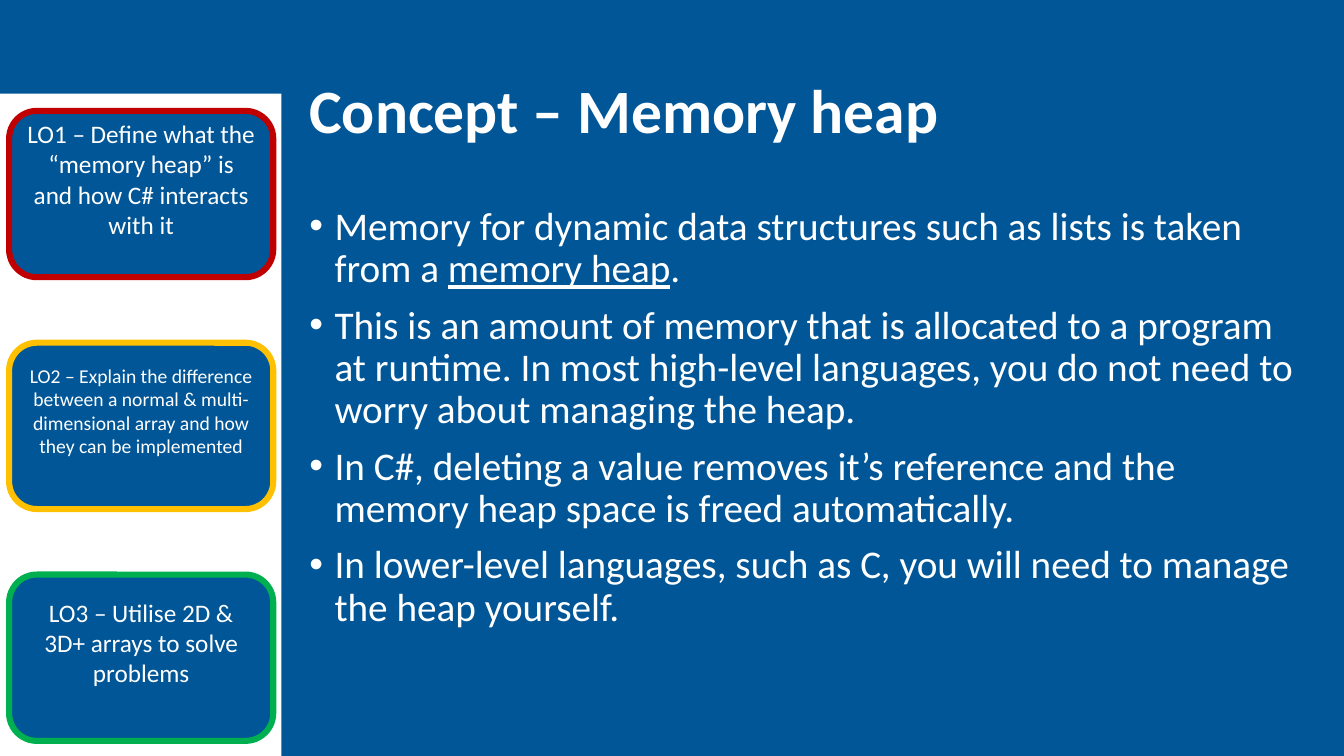
"""Builds the memory heap concept slide with its learning objectives sidebar."""
from lxml import etree
from pptx import Presentation
from pptx.dml.color import RGBColor
from pptx.enum.shapes import MSO_SHAPE
from pptx.enum.text import MSO_ANCHOR, PP_ALIGN
from pptx.oxml.ns import qn
from pptx.util import Inches, Pt

BLUE = RGBColor(0x01, 0x56, 0x97)
WHITE = RGBColor(0xFF, 0xFF, 0xFF)
RED = RGBColor(0xC0, 0x00, 0x00)
AMBER = RGBColor(0xFF, 0xC0, 0x00)
GREEN = RGBColor(0x00, 0xB0, 0x50)
FONT = "Calibri"

TITLE = "Concept – Memory heap"
KEY_TERM = "memory heap"
BULLETS = [
    ["Memory for dynamic data structures such as\u00a0lists\u00a0is taken from a ", KEY_TERM, "."],
    ["This is an amount of memory that is allocated to a program at runtime. "
     "In most high-level languages, you do not need to worry about managing the heap."],
    ["In C#, deleting a value removes it’s reference and the memory heap space "
     "is freed automatically."],
    ["In lower-level languages, such as C, you will need to manage the heap yourself."],
]
OBJECTIVES = [
    ("LO1 – Define what the “memory heap” is and how C# interacts with it", 18, RED),
    ("LO2 – Explain the difference between a normal & multi-dimensional array "
     "and how they can be implemented", 14, AMBER),
    ("LO3 – Utilise 2D & 3D+ arrays to solve problems", 18, GREEN),
]
OBJECTIVE_TOP, OBJECTIVE_PITCH = 1.1, 2.3
TEXT_LEFT, TEXT_WIDTH = 2.97, 10.15


def add_run(paragraph, text, size, bold=None, underline=None):
    run = paragraph.add_run()
    run.text = text
    font = run.font
    font.name, font.size, font.bold, font.underline = FONT, Pt(size), bold, underline
    font.color.rgb = WHITE


def add_block(slide, shape_type, left, top, width, height, fill):
    block = slide.shapes.add_shape(
        shape_type, Inches(left), Inches(top), Inches(width), Inches(height))
    block.shadow.inherit = False
    block.fill.solid()
    block.fill.fore_color.rgb = fill
    block.line.fill.background()
    return block


def add_text_frame(slide, top, height, anchor):
    box = slide.shapes.add_textbox(
        Inches(TEXT_LEFT), Inches(top), Inches(TEXT_WIDTH), Inches(height))
    frame = box.text_frame
    frame.word_wrap = True
    frame.vertical_anchor = anchor
    return frame


def add_bullet(paragraph):
    properties = paragraph._p.get_or_add_pPr()
    properties.set("marL", str(Inches(0.25)))
    properties.set("indent", str(-Inches(0.25)))
    etree.SubElement(properties, qn("a:buFont")).set("typeface", "Arial")
    etree.SubElement(properties, qn("a:buChar")).set("char", "•")


def add_objective(slide, top, text, size, outline):
    card = add_block(slide, MSO_SHAPE.ROUNDED_RECTANGLE, 0.09, top, 2.62, 1.65, BLUE)
    card.line.color.rgb = outline
    card.line.width = Pt(4.33)
    frame = card.text_frame
    frame.word_wrap = True
    frame.vertical_anchor = MSO_ANCHOR.MIDDLE
    frame.margin_bottom = Inches(0.35)
    paragraph = frame.paragraphs[0]
    paragraph.alignment = PP_ALIGN.CENTER
    add_run(paragraph, text, size)


prs = Presentation()
prs.slide_width, prs.slide_height = Inches(13.33), Inches(7.5)
slide = prs.slides.add_slide(prs.slide_layouts[6])
slide.background.fill.solid()
slide.background.fill.fore_color.rgb = BLUE

heading = add_text_frame(slide, 0.4, 1.45, MSO_ANCHOR.MIDDLE).paragraphs[0]
heading.line_spacing = 0.9
add_run(heading, TITLE, 44, bold=True)

body = add_text_frame(slide, 2, 4.76, MSO_ANCHOR.TOP)
for index, parts in enumerate(BULLETS):
    paragraph = body.add_paragraph() if index else body.paragraphs[0]
    paragraph.line_spacing = 0.9
    paragraph.space_before = Pt(10)
    add_bullet(paragraph)
    for part in parts:
        add_run(paragraph, part, 28, underline=True if part == KEY_TERM else None)

add_block(slide, MSO_SHAPE.RECTANGLE, 0, 0.93, 2.79, 6.57, WHITE)
for index, objective in enumerate(OBJECTIVES):
    add_objective(slide, OBJECTIVE_TOP + index * OBJECTIVE_PITCH, *objective)

prs.save("out.pptx")
